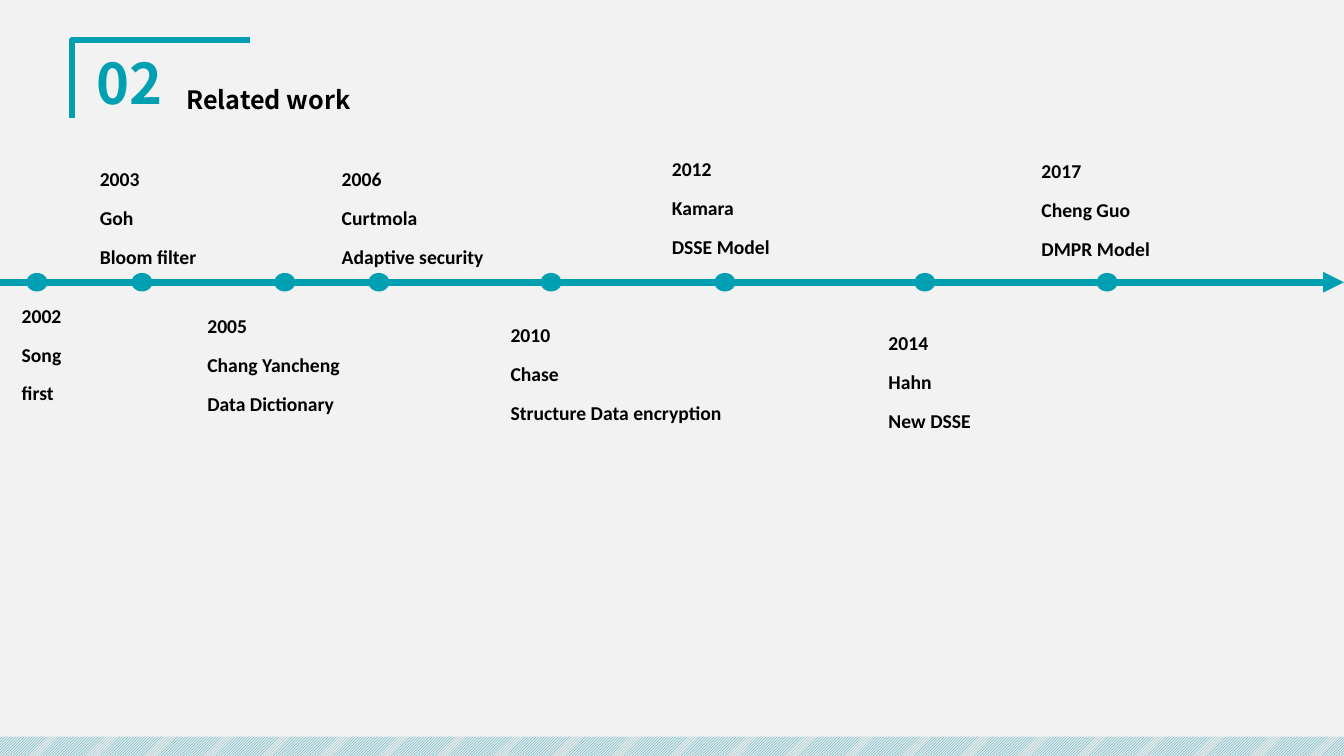
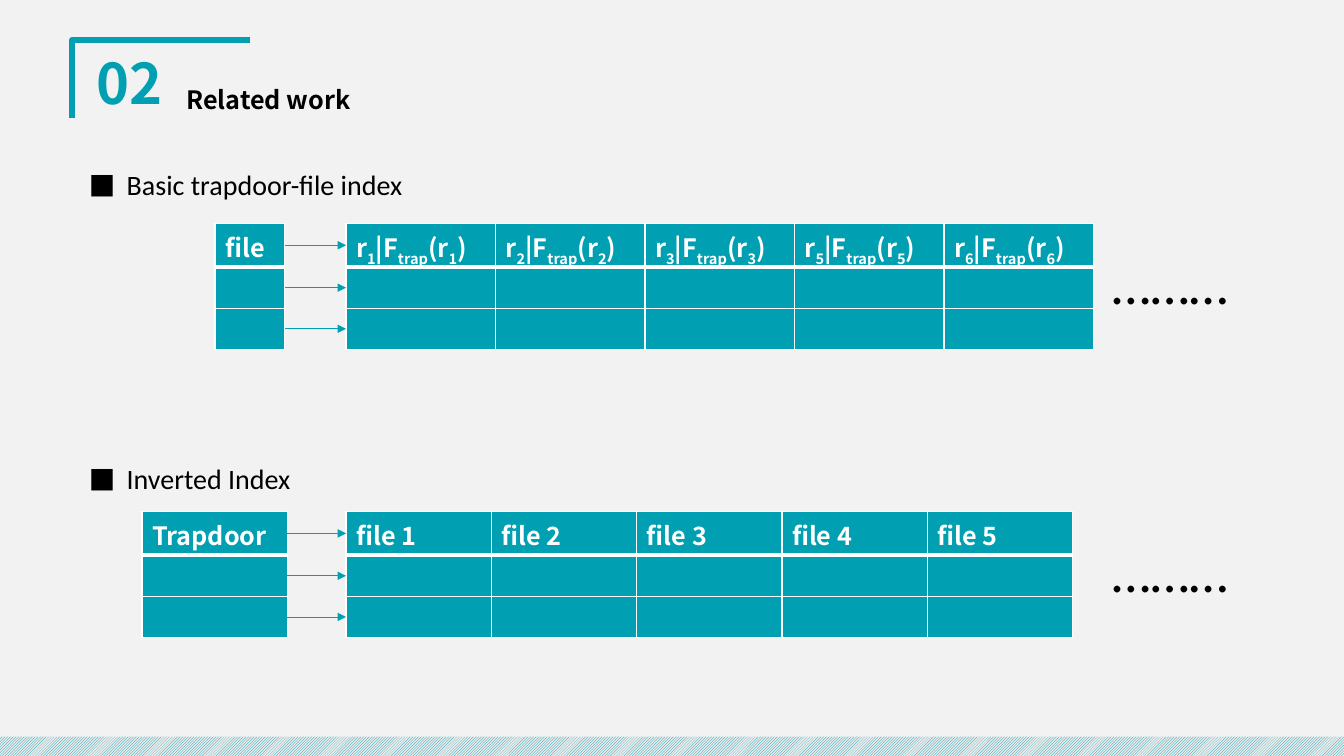
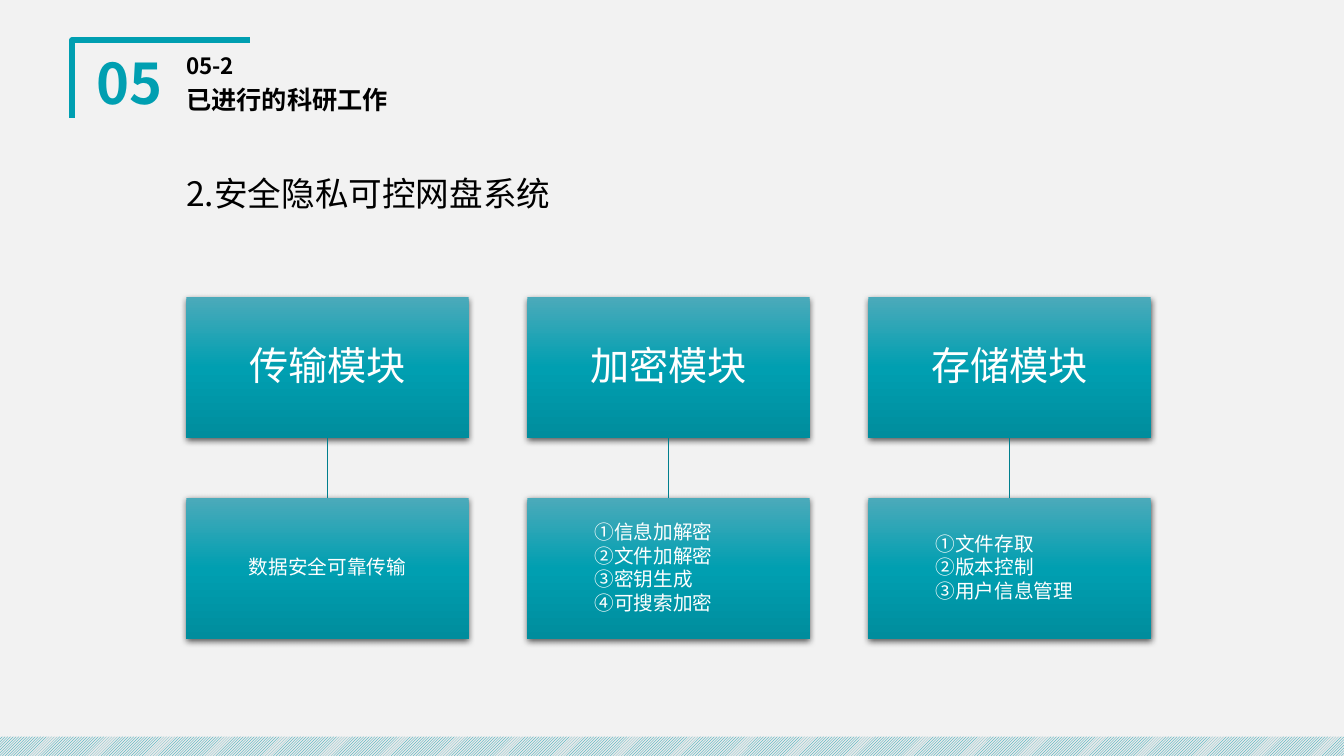
from copy import deepcopy

from lxml import etree
from pptx import Presentation
from pptx.dml.color import RGBColor
from pptx.enum.dml import MSO_PATTERN
from pptx.enum.shapes import MSO_CONNECTOR, MSO_SHAPE
from pptx.enum.text import MSO_ANCHOR, PP_ALIGN
from pptx.oxml.ns import qn
from pptx.util import Emu, Pt

CELL = 76200
COLUMNS, ROWS = 160, 90
TEAL, DARK_TEAL = "009FB1", "007F8E"
BLACK, WHITE = "000000", "FFFFFF"
PAPER, STRIPE = "F2F2F2", "E9E9E9"
GRADIENT = [(0, "4BAABA"), (0.5, TEAL), (1, "008D9D")]
LATIN, CJK = "Calibri", "Noto Sans CJK SC"
LEFT, CENTER = PP_ALIGN.LEFT, PP_ALIGN.CENTER
TOP, MIDDLE = MSO_ANCHOR.TOP, MSO_ANCHOR.MIDDLE
RECTANGLE, OVAL = MSO_SHAPE.RECTANGLE, MSO_SHAPE.OVAL
STRAIGHT = MSO_CONNECTOR.STRAIGHT
DIAGONAL = MSO_PATTERN.LIGHT_UPWARD_DIAGONAL


def rgb(colour):
    return RGBColor.from_string(colour)


def grid(*cells):
    return [Emu(round(cell * CELL)) for cell in cells]


class Deck:
    """Holds the shared style and the current slide, measured in grid cells."""

    def __init__(self):
        self.prs = Presentation()
        self.prs.slide_width, self.prs.slide_height = grid(COLUMNS, ROWS)
        background = self.prs.slide_master.background.fill
        background.solid()
        background.fore_color.rgb = rgb(PAPER)

    def slide(self, number, title, subtitle=None):
        self.shapes = self.prs.slides.add_slide(self.prs.slide_layouts[6]).shapes
        self.bracket([(8.6, 14), (8.6, 4.8), (29.8, 4.8)])
        band = self.shape(RECTANGLE, 0, 87.7, COLUMNS, 2.3)
        band.fill.patterned()
        band.fill.pattern = DIAGONAL
        band.fill.fore_color.rgb = rgb(TEAL)
        band.fill.back_color.rgb = rgb(STRIPE)
        heading = dict(font=CJK, bold=True, spacing=0.9, before=10, anchor=MIDDLE)
        self.text(9.8, 5.9, 11.2, 8.8, [number], size=40, colour=TEAL, align=CENTER, **heading)
        if subtitle:
            self.text(21, 5.9, 32, 4.1, [subtitle], size=16, **heading)
        self.text(21, 9.4, 32, 5.3, [title], size=18, **heading)

    def bracket(self, points):
        start, *rest = [grid(*point) for point in points]
        builder = self.shapes.build_freeform(*start)
        builder.add_line_segments(rest, close=False)
        outline = builder.convert_to_shape()
        outline.shadow.inherit = False
        outline.fill.background()
        outline.line.color.rgb = rgb(TEAL)
        outline.line.width = Pt(4.5)

    def shape(self, preset, left, top, width, height, fill=TEAL):
        shape = self.shapes.add_shape(preset, *grid(left, top, width, height))
        shape.fill.solid()
        shape.fill.fore_color.rgb = rgb(fill)
        shape.line.fill.background()
        shape.shadow.inherit = False
        return shape

    def paragraphs(self, frame, lines, size=14, font=LATIN, colour=BLACK, bold=False,
                   align=LEFT, spacing=1.3, before=6, after=0, anchor=TOP):
        frame.word_wrap = True
        frame.vertical_anchor = anchor
        for index, line in enumerate(lines):
            paragraph = frame.add_paragraph() if index else frame.paragraphs[0]
            paragraph.alignment = align
            paragraph.line_spacing = spacing
            paragraph.space_before, paragraph.space_after = Pt(before), Pt(after)
            self.style(paragraph, size, font, colour, bold)
            paragraph.add_run().text = line

    def style(self, paragraph, size, font, colour, bold):
        paragraph.font.size = Pt(size)
        paragraph.font.bold = bold
        paragraph.font.color.rgb = rgb(colour)
        paragraph.font.name = font
        defaults = paragraph._p.find(".//" + qn("a:defRPr"))
        etree.SubElement(defaults, qn("a:ea"), typeface=font)

    def text(self, left, top, width, height, lines, **style):
        box = self.shapes.add_textbox(*grid(left, top, width, height))
        self.paragraphs(box.text_frame, lines, **style)
        return box

    def bullet(self, left, top, width, height, line):
        box = self.text(left, top, width, height, [line], size=20)
        properties = box.text_frame.paragraphs[0]._p.pPr
        indent = grid(4.5)[0]
        properties.set("marL", str(indent))
        properties.set("indent", str(-indent))
        mark = etree.Element(qn("a:buChar"), char="■")
        typeface = etree.Element(qn("a:buFont"), typeface=LATIN)
        defaults = properties.find(qn("a:defRPr"))
        defaults.addprevious(typeface)
        defaults.addprevious(mark)

    def line(self, x1, y1, x2, y2, colour=TEAL, weight=0.5, arrow=True):
        line = self.shapes.add_connector(STRAIGHT, *grid(x1, y1, x2, y2))
        line.line.color.rgb = rgb(colour)
        line.line.width = Pt(weight)
        properties = line._element.spPr
        if arrow:
            etree.SubElement(properties.find(qn("a:ln")), qn("a:tailEnd"), type="triangle")
        etree.SubElement(properties, qn("a:effectLst"))
        return line

    def table(self, left, top, column_width, row_heights, headings):
        size = column_width * len(headings), sum(row_heights)
        frame = self.shapes.add_table(len(row_heights), len(headings), *grid(left, top, *size))
        for column in frame.table.columns:
            column.width = grid(column_width)[0]
        for index, height in enumerate(row_heights):
            frame.table.rows[index].height = grid(height)[0]
            for column in range(len(headings)):
                cell = frame.table.cell(index, column)
                self.borders(cell, top=3 if index == 1 else 1, bottom=1 if index else 3)
                cell.fill.solid()
                cell.fill.fore_color.rgb = rgb(TEAL)
        for column, heading in enumerate(headings):
            self.heading_cell(frame.table.cell(0, column), heading)

    def heading_cell(self, cell, heading):
        cell.margin_bottom = 0
        paragraph = cell.text_frame.paragraphs[0]
        self.style(paragraph, 18, CJK, WHITE, True)
        for index, part in enumerate(heading.split("_")):
            run = paragraph.add_run()
            run.text = part
            if index % 2:
                run._r.get_or_add_rPr().set("baseline", "-25000")

    def borders(self, cell, top, bottom):
        properties = cell._tc.get_or_add_tcPr()
        for side, weight in zip("LRTB", (1, 1, top, bottom)):
            edge = etree.SubElement(properties, qn("a:ln" + side), w=str(Pt(weight)))
            fill = etree.SubElement(edge, qn("a:solidFill"))
            etree.SubElement(fill, qn("a:srgbClr"), val=WHITE)

    def index(self, title, title_top, top, key, key_left, key_width, headings, column_width):
        row_heights = [5.2, 4.9, 4.9]
        main_left = 41.2
        self.bullet(9.4, title_top, 143, 6, title)
        self.table(key_left, top, key_width, row_heights, [key])
        self.table(main_left, top, column_width, row_heights, headings)
        for row, height in enumerate(row_heights):
            middle = top + sum(row_heights[:row]) + height / 2
            self.line(key_left + key_width, middle, main_left, middle)
        self.text(131.2, top, 17, 10.9, ["………"], size=40)

    def module(self, left, top, lines, size):
        box = self.shape(RECTANGLE, left, top, 33.6, 16.8)
        properties = box._element.spPr
        box.fill.gradient()
        box.fill.gradient_angle = 270
        stops = properties.find(".//" + qn("a:gsLst"))
        stops.append(deepcopy(stops[0]))
        for stop, (position, colour) in zip(box.fill.gradient_stops, GRADIENT):
            stop.position = position
            stop.color.rgb = rgb(colour)
        shadow = etree.SubElement(properties.find(qn("a:effectLst")), qn("a:outerShdw"),
                                  blurRad=str(Pt(4.5)), dist=str(Pt(1.5)), dir="5400000",
                                  algn="ctr", rotWithShape="0")
        black = etree.SubElement(shadow, qn("a:srgbClr"), val=BLACK)
        etree.SubElement(black, qn("a:alpha"), val="63000")
        listed = len(lines) > 1
        frame = box.text_frame
        frame.margin_left, frame.margin_right = grid(8 if listed else 0.2, 0.2)
        frame.margin_top, frame.margin_bottom = grid(0.2, 0.2)
        self.paragraphs(frame, lines, size=size, font=CJK, colour=WHITE, spacing=0.9, before=0,
                        after=1.8, anchor=MIDDLE, align=LEFT if listed else CENTER)
        return box


def timeline(deck):
    deck.slide("02", "Related work")
    axis = 33.6
    deck.line(0, axis, COLUMNS, axis, weight=5)
    events = [
        (4.4, 1.4, 34.7, 13.3, ["2002", "Song", "first"]),
        (16.9, 10.7, 18.4, 15, ["2003", "Goh", "Bloom filter"]),
        (33.9, 23.5, 35.9, 19.1, ["2005", "Chang Yancheng", "Data Dictionary"]),
        (45.1, 39.5, 18.5, 21.2, ["2006", "Curtmola", "Adaptive security"]),
        (65.6, 59.6, 37, 28, ["2010", "Chase", "Structure Data encryption"]),
        (86.3, 78.8, 17.3, 15, ["2012", "Kamara", "DSSE Model"]),
        (110.1, 104.6, 38, 19, ["2014", "Hahn", "New DSSE"]),
        (131.8, 122.8, 17.5, 24.8, ["2017", "Cheng Guo", "DMPR Model"]),
    ]
    dot_width, dot_height = 2.5, 2.2
    for center, left, top, width, event in events:
        deck.shape(OVAL, center - dot_width / 2, axis - dot_height / 2, dot_width, dot_height)
        deck.text(left, top, width, 13.9, event, bold=True)


def indexes(deck):
    deck.slide("02", "Related work")
    trapdoors = [f"r_{n}_|F_trap_(r_{n}_)" for n in (1, 2, 3, 5, 6)]
    files = [f"file {n}" for n in range(1, 6)]
    deck.index("Basic trapdoor-file index", 18.1, 26.6, "file", 25.6, 8.3, trapdoors, 17.8)
    deck.index("Inverted Index", 53.1, 60.9, "Trapdoor", 16.9, 17.3, files, 17.3)


def modules(deck):
    deck.slide("05", "已进行的科研工作", "05-2")
    deck.text(21, 18.5, 114.8, 6.8, ["2.安全隐私可控网盘系统"], size=24, font=CJK)
    contents = [
        ("传输模块", ["数据安全可靠传输"]),
        ("加密模块", ["①信息加解密", "②文件加解密", "③密钥生成", "④可搜索加密"]),
        ("存储模块", ["①文件存取", "②版本控制", "③用户信息管理"]),
    ]
    for column, (name, duties) in enumerate(contents):
        left = 22.2 + 40.6 * column
        name_box = deck.module(left, 35.4, [name], 28)
        duty_box = deck.module(left, 59.3, duties, 14)
        link = deck.line(left, 52.2, left, 59.3, DARK_TEAL, 1, arrow=False)
        link.begin_connect(name_box, 2)
        link.end_connect(duty_box, 0)


def main():
    deck = Deck()
    timeline(deck)
    indexes(deck)
    modules(deck)
    deck.prs.save("out.pptx")


if __name__ == "__main__":
    main()
